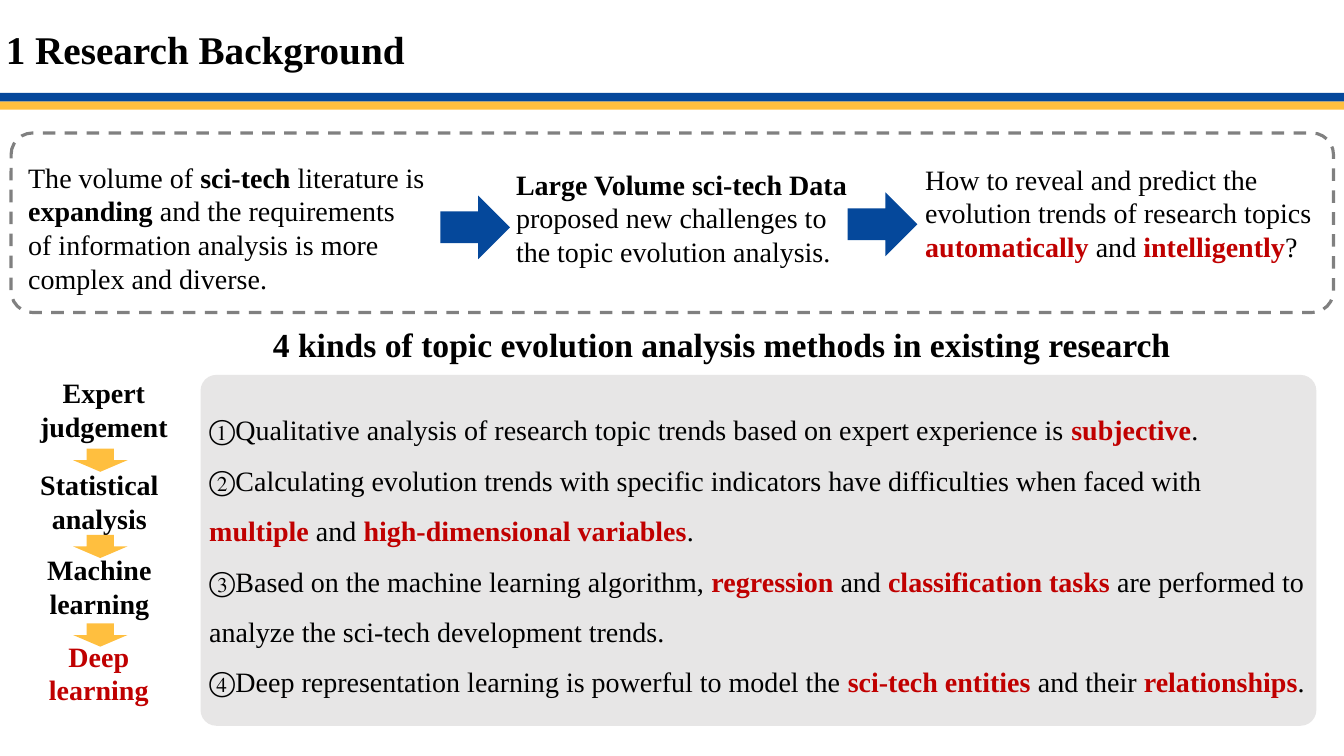
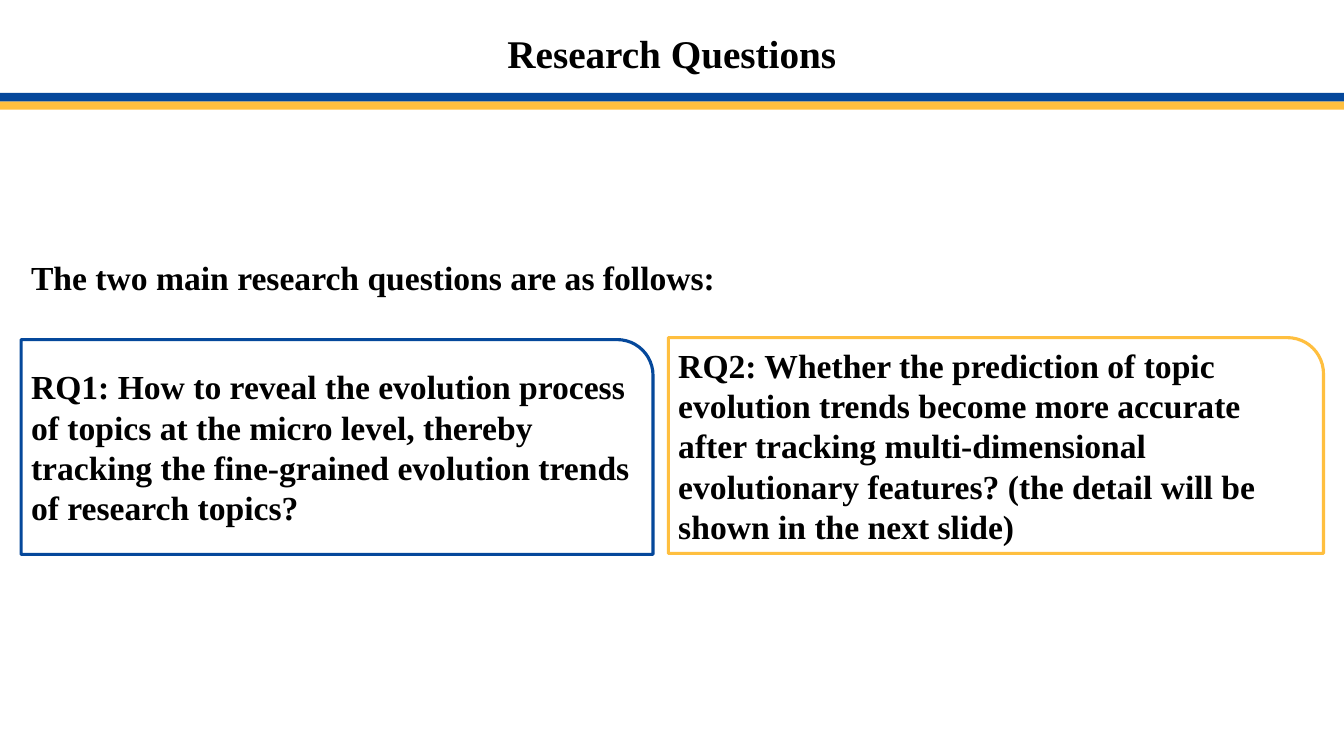
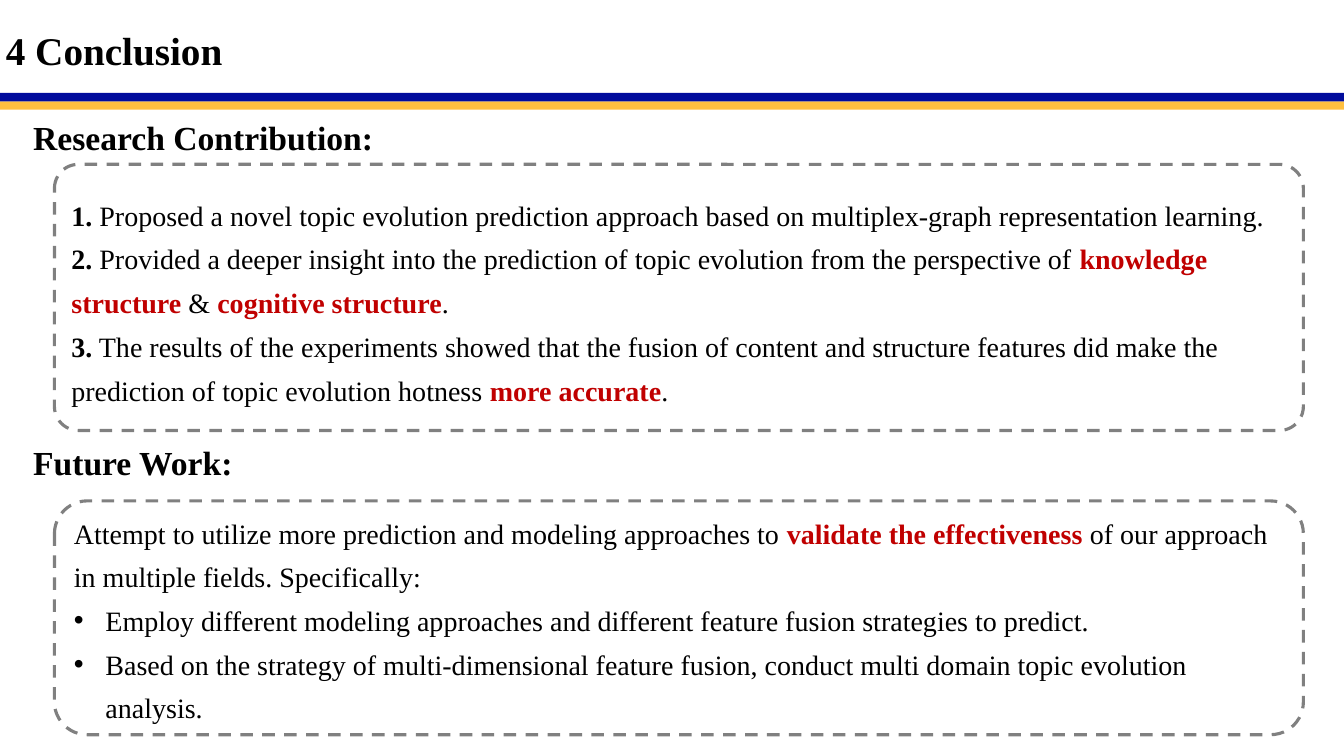
from lxml import etree
from pptx import Presentation
from pptx.dml.color import RGBColor
from pptx.enum.dml import MSO_LINE
from pptx.enum.shapes import MSO_SHAPE
from pptx.enum.text import MSO_ANCHOR, PP_ALIGN
from pptx.oxml.ns import qn
from pptx.util import Pt

RECT = MSO_SHAPE.RECTANGLE
ROUNDED = MSO_SHAPE.ROUNDED_RECTANGLE
ONE_ROUND = MSO_SHAPE.ROUND_1_RECTANGLE
RIGHT_ARROW = MSO_SHAPE.RIGHT_ARROW
DOWN_ARROW = MSO_SHAPE.DOWN_ARROW
LEFT, CENTER = PP_ALIGN.LEFT, PP_ALIGN.CENTER
TOP, MIDDLE = MSO_ANCHOR.TOP, MSO_ANCHOR.MIDDLE
DASH = MSO_LINE.DASH

WIDTH, HEIGHT = 960, 540
FONT = "Times New Roman"
TITLE, HEADING, BODY = 28, 24, 20
INSETS = (7.2, 3.6, 7.2, 3.6)
COLORS = {
    "text": "000000",
    "accent": "C00000",
    "blue": "05489B",
    "navy": "010C9C",
    "gold": "FFBF3F",
    "panel": "E7E6E6",
    "dash": "808080",
}


def rgb(name):
    return RGBColor.from_string(COLORS[name])


class Deck:
    def __init__(self):
        self.prs = Presentation()
        self.prs.slide_width, self.prs.slide_height = Pt(WIDTH), Pt(HEIGHT)
        self.slide = None

    def new_slide(self, band="blue"):
        self.slide = self.prs.slides.add_slide(self.prs.slide_layouts[6])
        self.shape(RECT, 0, 72.4, WIDTH, 6, fill="gold")
        self.shape(RECT, 0, 66.4, WIDTH, 6, fill=band)

    def fill_text(self, tf, text, size, align=LEFT, anchor=TOP, insets=INSETS,
                  spacing=None, indent=0):
        """Fill a frame: *bold*, *!bold accent*, and "• " opens a bullet."""
        tf.word_wrap = True
        tf.vertical_anchor = anchor
        (tf.margin_left, tf.margin_top,
         tf.margin_right, tf.margin_bottom) = map(Pt, insets)
        for i, line in enumerate(text.split("\n")):
            p = tf.paragraphs[0] if i == 0 else tf.add_paragraph()
            p.alignment = align
            if spacing:
                p.line_spacing = spacing
            if line.startswith("• "):
                line = line[2:]
                self.bullet(p)
            elif indent:
                p._p.get_or_add_pPr().set("marL", str(Pt(indent)))
            for j, part in enumerate(line.split("*")):
                if part:
                    r = p.add_run()
                    r.text = part.removeprefix("!")
                    r.font.name, r.font.size = FONT, Pt(size)
                    r.font.bold = j % 2 == 1
                    r.font.color.rgb = rgb("accent" if part[0] == "!" else "text")

    def bullet(self, p, hang=22.5):
        pPr = p._p.get_or_add_pPr()
        pPr.set("marL", str(Pt(hang)))
        pPr.set("indent", str(-Pt(hang)))
        etree.SubElement(pPr, qn("a:buFont")).set("typeface", "Arial")
        etree.SubElement(pPr, qn("a:buChar")).set("char", "•")

    def text(self, x, y, w, h, text, size=BODY, **style):
        sp = self.slide.shapes.add_textbox(Pt(x), Pt(y), Pt(w), Pt(h))
        self.fill_text(sp.text_frame, text, size, **style)

    def title(self, x, y, w, text, align=LEFT):
        self.text(x, y, w, 39, f"*{text}*", TITLE, align=align)

    def heading(self, x, y, w, text, align=LEFT):
        self.text(x, y, w, 36, f"*{text}*", HEADING, align=align)

    def shape(self, kind, x, y, w, h, fill=None, line=None, adj=None):
        sp = self.slide.shapes.add_shape(kind, Pt(x), Pt(y), Pt(w), Pt(h))
        sp.shadow.inherit = False
        if adj is not None:
            sp.adjustments[0] = adj
        if fill:
            sp.fill.solid()
            sp.fill.fore_color.rgb = rgb(fill)
        else:
            sp.fill.background()
        if line:
            sp.line.color.rgb = rgb(line)
            sp.line.width = Pt(2.25)
        else:
            sp.line.fill.background()
        return sp

    def dashed_box(self, x, y, w, h, adj):
        sp = self.shape(ROUNDED, x, y, w, h, line="dash", adj=adj)
        sp.line.dash_style = DASH
        return sp


def background_slide(deck):
    deck.new_slide()
    deck.title(-2.9, 14.4, 332, "1 Research Background")

    deck.dashed_box(7.9, 95, 944.6, 128.2, 0.12)
    deck.text(0, 110.9, 311, 107,
              "The volume of *sci-tech* literature is *expanding* and the requirements of "
              "information analysis is more complex and diverse.", indent=13)
    deck.text(348.5, 115.9, 272.9, 86,
              "*Large Volume sci-tech Data* proposed new challenges to the topic "
              "evolution analysis.", indent=13)
    deck.text(653.8, 112.3, 313.9, 86,
              "How to reveal and predict the evolution trends of research topics "
              "*!automatically* and *!intelligently*?")
    for x, y in ((314.6, 139.7), (605.5, 137.5)):
        deck.shape(RIGHT_ARROW, x, y, 49.7, 45.4, fill="blue")

    deck.heading(187.2, 227.5, 656.6,
                 "4 kinds of topic evolution analysis methods in existing research", CENTER)
    panel = deck.shape(ROUNDED, 143.3, 267.8, 797, 250.6, fill="panel", adj=0.045)
    deck.fill_text(
        panel.text_frame,
        "①Qualitative analysis of research topic trends based on expert experience is "
        "*!subjective*.\n"
        "②Calculating evolution trends with specific indicators have difficulties when "
        "faced with *!multiple* and *!high-dimensional variables*.\n"
        "③Based on the machine learning algorithm, *!regression* and "
        "*!classification tasks* are performed to analyze the sci-tech development trends.\n"
        "④Deep representation learning is powerful to model the *!sci-tech entities* "
        "and their *!relationships*.",
        BODY, anchor=MIDDLE, insets=(2.9, 1.4, 2.9, 5.8), spacing=1.5)

    methods = (
        (74.2, 265, "*Expert judgement*"),
        (71, 330.5, "*Statistical analysis*"),
        (71, 391, "*Machine learning*"),
        (70.6, 452.9, "*!Deep*\n*!learning*"),
    )
    for center, y, name in methods:
        deck.text(center - 56, y, 112, 54, name, align=CENTER)
    for y in (320.4, 382, 445.3):
        deck.shape(DOWN_ARROW, 52.2, y, 38.9, 16.6, fill="gold")


def questions_slide(deck):
    deck.new_slide()
    deck.title(318.2, 17.3, 323.3, "Research Questions", CENTER)
    deck.heading(15.1, 180, 550.8, "The two main research questions are as follows:")
    questions = (
        (15.1, 242.6, 451.4, 153.4, "blue",
         "*RQ1: How to reveal the evolution process of topics at the micro level, thereby "
         "tracking the fine-grained evolution trends of research topics?*"),
        (477.4, 241.2, 468, 154.1, "gold",
         "*RQ2: Whether the prediction of topic evolution trends become more accurate after "
         "tracking multi-dimensional evolutionary features? (the detail will be shown in "
         "the next slide)*"),
    )
    for x, y, w, h, color, question in questions:
        sp = deck.shape(ONE_ROUND, x, y, w, h, line=color)
        deck.fill_text(sp.text_frame, question, HEADING, anchor=MIDDLE)


def conclusion_slide(deck):
    deck.new_slide(band="navy")
    deck.title(-2.9, 15.1, 522, "4 Conclusion")
    sections = (
        ("Research Contribution:", 79.9, 117.4, 190.1, 0.09, 0,
         "*1.* Proposed a novel topic evolution prediction approach based on "
         "multiplex-graph representation learning.\n"
         "*2.* Provided a deeper insight into the prediction of topic evolution from the "
         "perspective of *!knowledge structure* & *!cognitive structure*.\n"
         "*3.* The results of the experiments showed that the fusion of content and "
         "structure features did make the prediction of topic evolution hotness "
         "*!more accurate*."),
        ("Future Work:", 311.8, 357.8, 167, 0.14, 3.6,
         "Attempt to utilize more prediction and modeling approaches to "
         "*!validate the effectiveness* of our approach in multiple fields. Specifically:\n"
         "• Employ different modeling approaches and different feature fusion strategies "
         "to predict.\n"
         "• Based on the strategy of multi-dimensional feature fusion, conduct multi domain "
         "topic evolution analysis."),
    )
    for name, heading_y, y, h, adj, bottom, body in sections:
        deck.heading(16.6, heading_y, 268.6, name)
        sp = deck.dashed_box(38.9, y, 892.1, h, adj)
        deck.fill_text(sp.text_frame, body, BODY, anchor=MIDDLE,
                       insets=(7.2, 0, 7.2, bottom), spacing=1.3)


def main():
    deck = Deck()
    background_slide(deck)
    questions_slide(deck)
    conclusion_slide(deck)
    deck.prs.save("out.pptx")


if __name__ == "__main__":
    main()
